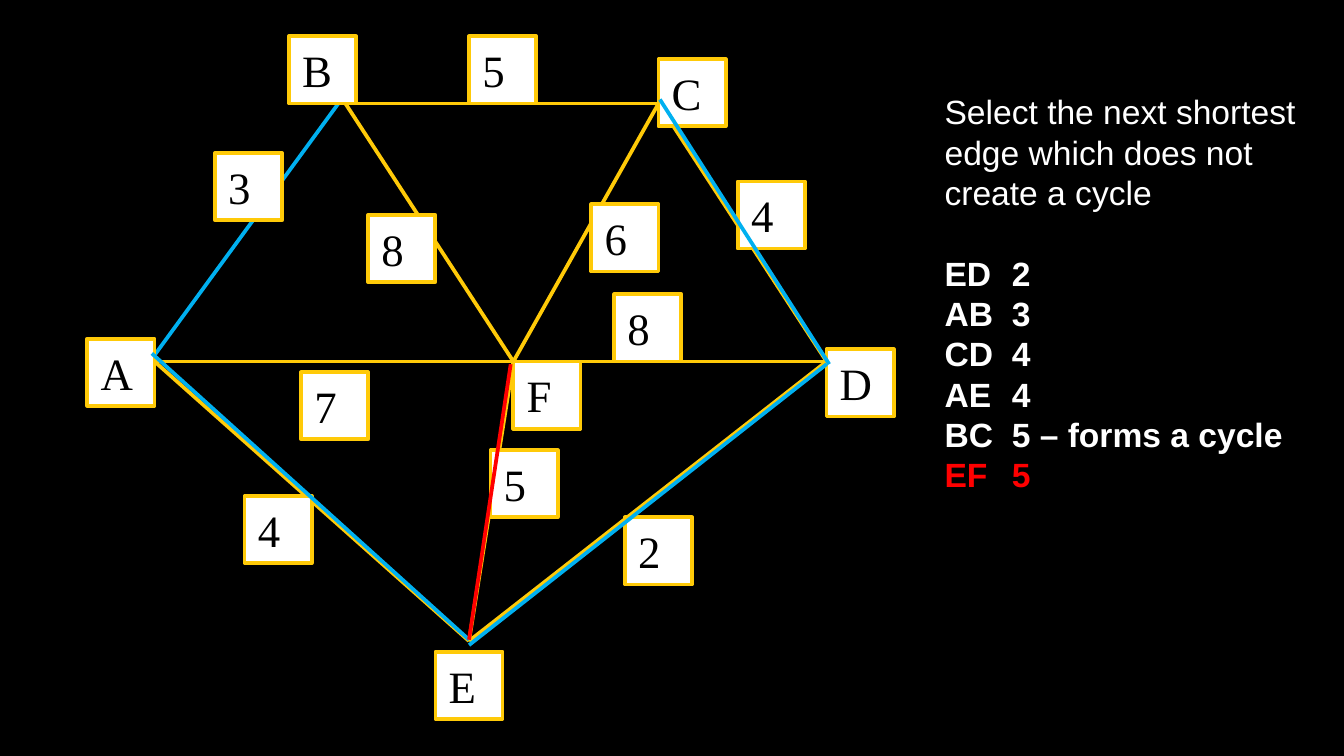
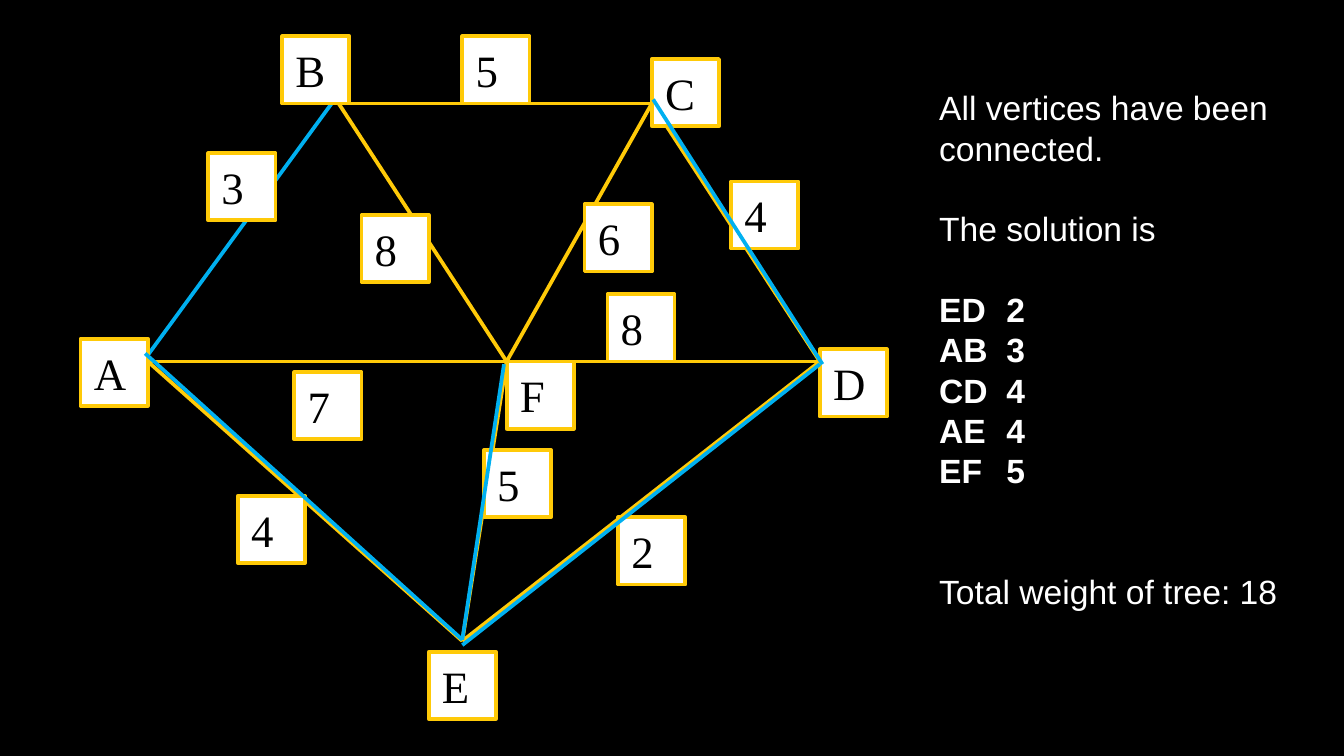
from lxml import etree
from pptx import Presentation
from pptx.dml.color import RGBColor
from pptx.enum.shapes import MSO_CONNECTOR, MSO_SHAPE
from pptx.enum.text import MSO_ANCHOR, PP_ALIGN
from pptx.oxml.ns import qn
from pptx.util import Inches, Pt

BLACK = RGBColor(0x00, 0x00, 0x00)
WHITE = RGBColor(0xFF, 0xFF, 0xFF)
GOLD = RGBColor(0xFF, 0xCA, 0x08)
BLUE = RGBColor(0x00, 0xB0, 0xF0)
RED = RGBColor(0xFF, 0x00, 0x00)

PAGE_WIDTH = 10
TAG_SIZE = 0.5
LINE_HEIGHT = 21.6
HANGING = 0.5

# Points where the edges of the graph meet
POINTS = {"A": (1.15, 2.69), "B": (2.57, 0.77), "C": (4.9, 0.77),
          "D": (6.15, 2.69), "E": (3.49, 4.77), "F": (3.82, 2.69)}
GOLD_EDGES = ["BC", "CD", "AF", "FD", "BF", "FC", "AE", "EF", "ED"]

# Chosen edges: start and end
EDGE_AB = ((1.13, 2.67), (2.54, 0.74))
CHOSEN_EDGES = [
    ((3.49, 4.8), (6.15, 2.71)),
    ((4.91, 0.74), (6.17, 2.71)),
    ((1.13, 2.63), (3.49, 4.76)),
]
EDGE_EF = ((3.8, 2.71), (3.49, 4.76))

# Vertex names and edge weights: text, left, top
TAGS = [
    ("A", 0.65, 2.52), ("F", 3.82, 2.69), ("B", 2.15, 0.27),
    ("C", 4.9, 0.44), ("D", 6.15, 2.6), ("E", 3.24, 4.85),
    ("2", 4.65, 3.85), ("7", 2.24, 2.77), ("4", 1.82, 3.69),
    ("5", 3.65, 3.35), ("8", 2.74, 1.6), ("6", 4.4, 1.52),
    ("4", 5.49, 1.35), ("5", 3.49, 0.27), ("3", 1.6, 1.14),
    ("8", 4.57, 2.19),
]

# Notes: text, bold, colour, empty lines above
TREE = [("ED\t2", True, WHITE, 1)] + [
    (text, True, WHITE, 0) for text in ("AB\t3", "CD\t4", "AE\t4")]
PAGES = [
    {"shift": 0, "ef_colour": RED, "box": (6.93, 0.63, 2.88, 4.14),
     "notes": [
         ("Select the next shortest", False, WHITE, 0),
         ("edge which does not", False, WHITE, 0),
         ("create a cycle", False, WHITE, 0),
         *TREE,
         ("BC\t5 – forms a cycle", True, WHITE, 0),
         ("EF\t5", True, RED, 0)]},
    {"shift": -0.05, "ef_colour": BLUE, "box": (6.89, 0.6, 2.87, 4.34),
     "notes": [
         ("All vertices have been", False, WHITE, 0),
         ("connected.", False, WHITE, 0),
         ("The solution is", False, WHITE, 1),
         *TREE,
         ("EF\t5", True, WHITE, 0),
         ("Total weight of tree: 18", False, WHITE, 2)]},
]


def add_edge(group, start, end, colour, shift):
    edge = group.shapes.add_connector(
        MSO_CONNECTOR.STRAIGHT,
        Inches(start[0] + shift), Inches(start[1]),
        Inches(end[0] + shift), Inches(end[1]))
    edge.line.color.rgb = colour
    edge.line.width = Pt(2)
    etree.SubElement(edge._element.spPr, qn("a:effectLst"))


def add_span(para, text, font_name, size, colour, bold=False):
    span = para.add_run()
    span.text = text
    span.font.name = font_name
    span.font.size = Pt(size)
    span.font.bold = bold
    span.font.color.rgb = colour


def add_tag(group, text, left, top):
    tag = group.shapes.add_shape(
        MSO_SHAPE.RECTANGLE, Inches(left), Inches(top),
        Inches(TAG_SIZE), Inches(TAG_SIZE))
    tag.shadow.inherit = False
    tag.fill.solid()
    tag.fill.fore_color.rgb = WHITE
    tag.line.color.rgb = GOLD
    tag.line.width = Pt(2)
    tag.text_frame.vertical_anchor = MSO_ANCHOR.TOP
    para = tag.text_frame.paragraphs[0]
    para.alignment = PP_ALIGN.LEFT
    add_span(para, text, "Times New Roman", 24, BLACK)


def add_graph(page, shift, ef_colour):
    group = page.shapes.add_group_shape()
    add_edge(group, *EDGE_AB, BLUE, shift)
    for start, end in GOLD_EDGES:
        add_edge(group, POINTS[start], POINTS[end], GOLD, shift)
    for text, left, top in TAGS:
        add_tag(group, text, left + shift, top)
    for start, end in CHOSEN_EDGES:
        add_edge(group, start, end, BLUE, shift)
    add_edge(page, *EDGE_EF, ef_colour, shift)


def add_notes(page, place, notes):
    box = page.shapes.add_textbox(*map(Inches, place))
    frame = box.text_frame
    frame.word_wrap = True
    for index, (text, bold, colour, gap) in enumerate(notes):
        para = frame.add_paragraph() if index else frame.paragraphs[0]
        para.line_spacing = Pt(LINE_HEIGHT)
        if gap:
            para.space_before = Pt(gap * LINE_HEIGHT)
        # The hanging indent is also the tab position of the weights
        properties = para._p.get_or_add_pPr()
        properties.set("marL", str(Inches(HANGING)))
        properties.set("indent", str(-Inches(HANGING)))
        add_span(para, text, "Arial", 18, colour, bold)


def main():
    deck = Presentation()
    # Widescreen, 16:9
    deck.slide_width = Inches(PAGE_WIDTH)
    deck.slide_height = Inches(PAGE_WIDTH * 9 / 16)
    for content in PAGES:
        page = deck.slides.add_slide(deck.slide_layouts[6])
        page.background.fill.solid()
        page.background.fill.fore_color.rgb = BLACK
        add_graph(page, content["shift"], content["ef_colour"])
        add_notes(page, content["box"], content["notes"])
    deck.save("out.pptx")


if __name__ == "__main__":
    main()
